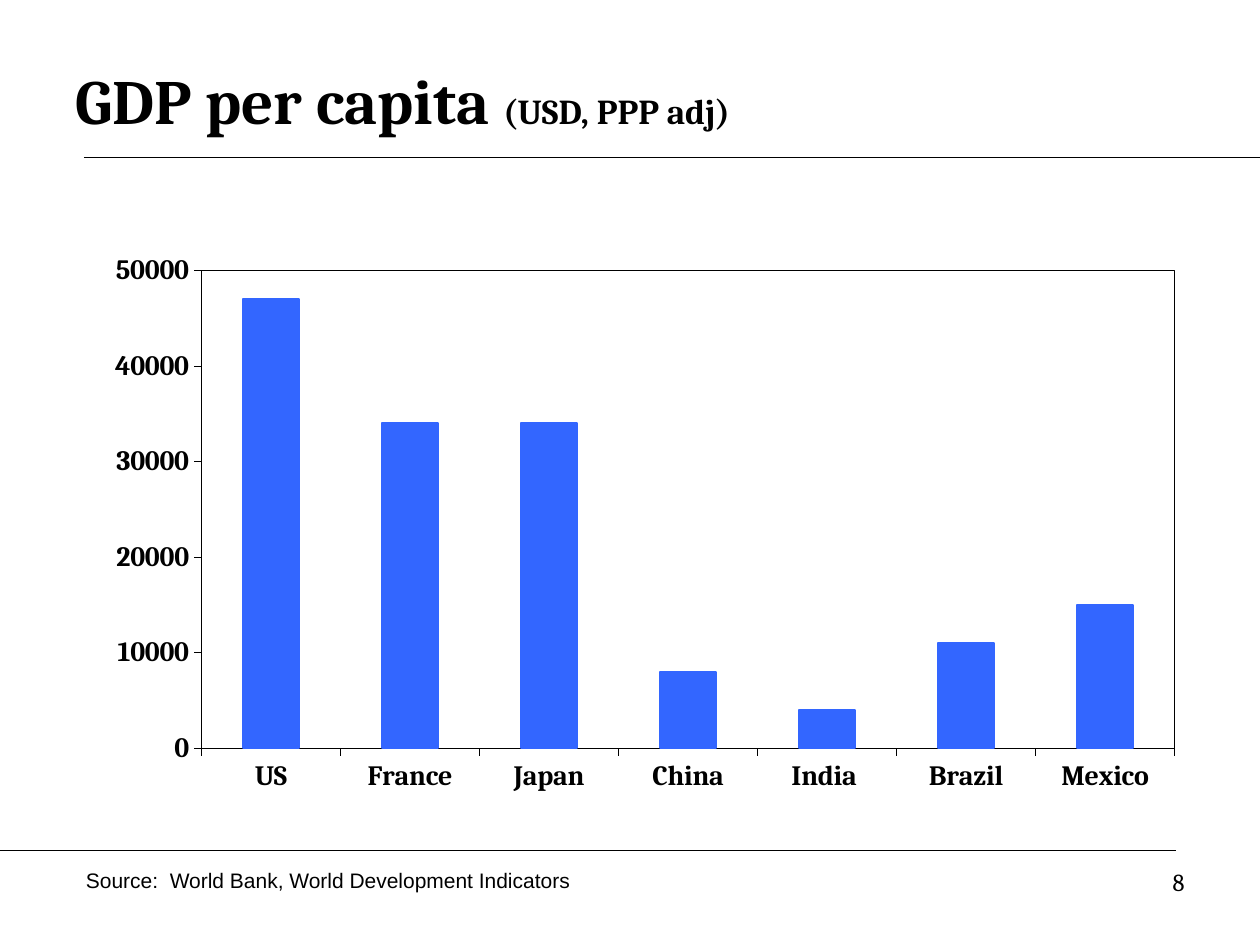
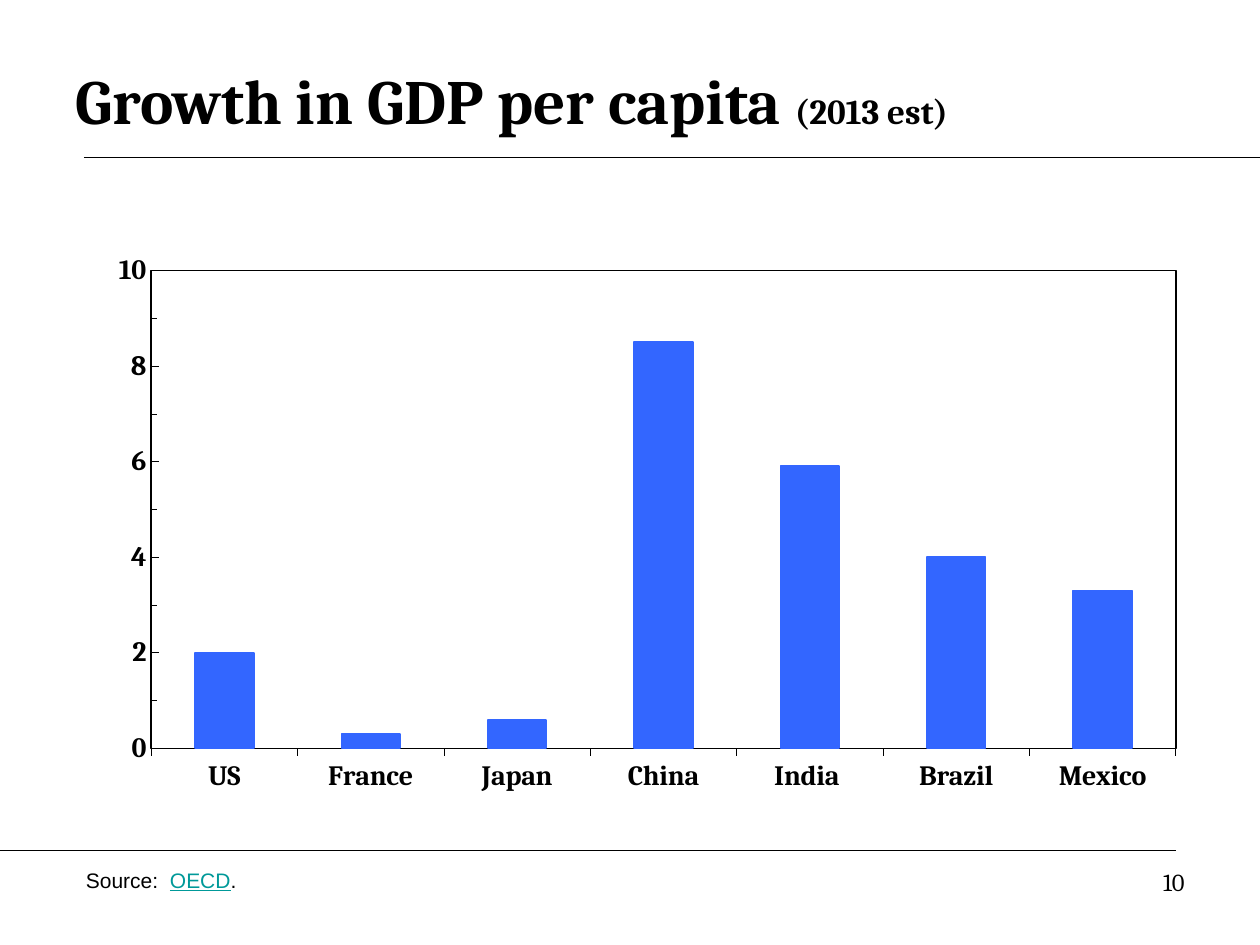
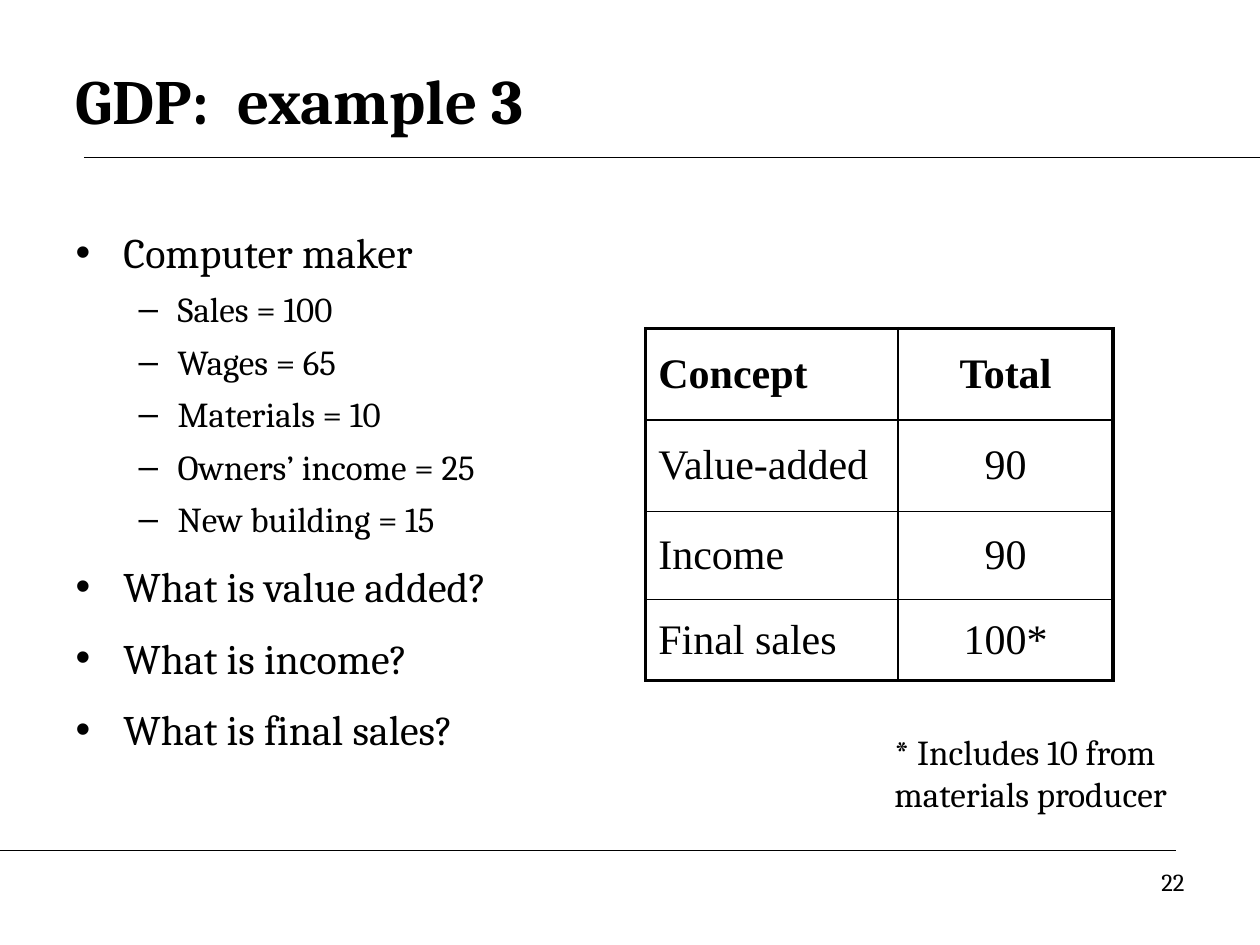
import pptx
import pptx.chart.data
import pptx.dml.color
import pptx.enum.chart
import pptx.enum.shapes
import pptx.enum.text
import pptx.oxml
import pptx.oxml.ns
import pptx.util
from lxml import etree

Pt = pptx.util.Pt
Inches = pptx.util.Inches
ALIGN = pptx.enum.text.PP_ALIGN
ANCHOR = pptx.enum.text.MSO_ANCHOR
TICK = pptx.enum.chart.XL_TICK_MARK

COLORS = {"ink": "000000", "paper": "FFFFFF", "bar": "3366FF", "link": "009999"}
SERIF, SANS, TABLE_FONT = "Cambria", "Arial", "Times New Roman"
COLS, ROWS = 120, 90
WIDTH, HEIGHT = Inches(10), Inches(7.5)

# Boxes are (column, row, columns wide, rows high)
TITLE = (6, 4, 108, 11)
CHART = (6.75, 21.75, 106.3, 58)
BODY = (6, 21, 51, 59.4)
TABLE = (61.5, 31.3, 44.5, 33.5)
NOTE = (84, 69, 33, 9.25)
SOURCE = (7, 82, 58, 3.6)
PAGE = (86, 82, 28, 6.25)
RULES = [((8, 15), (COLS, 15)), ((0, 81), (112, 81))]

COUNTRIES = ["US", "France", "Japan", "China", "India ", "Brazil", "Mexico"]


def rgb(name):
    return pptx.dml.color.RGBColor.from_string(COLORS[name])


def col(n):
    return round(WIDTH * n / COLS)


def row(n):
    return round(HEIGHT * n / ROWS)


def emu(box):
    x, y, w, h = box
    return col(x), row(y), col(w), row(h)


def place(sp, box):
    sp.left, sp.top, sp.width, sp.height = emu(box)


def style(font, size, name=SERIF, color="ink", bold=False, underline=None):
    font.size, font.name, font.bold = Pt(size), name, bold
    font.color.rgb = rgb(color)
    if underline:
        font.underline = True


def add_text(p, text, size, align=ALIGN.LEFT, **fmt):
    p.alignment = align
    r = p.add_run()
    r.text = text
    style(r.font, size, **fmt)


def add_box(slide, box, runs, size, **fmt):
    """Text box of one paragraph; each run is (text, extra format)."""
    tf = slide.shapes.add_textbox(*emu(box)).text_frame
    tf.word_wrap = True
    for text, extra in runs:
        add_text(tf.paragraphs[0], text, size, **fmt, **extra)


def base_slide(prs, layout, title, page, subtitle=""):
    slide = prs.slides.add_slide(prs.slide_layouts[layout])
    slide.background.fill.solid()
    slide.background.fill.fore_color.rgb = rgb("paper")
    for start, end in RULES:
        line = slide.shapes.add_connector(
            pptx.enum.shapes.MSO_CONNECTOR.STRAIGHT,
            col(start[0]), row(start[1]), col(end[0]), row(end[1]))
        line.line.color.rgb = rgb("ink")
        line.line.width = Pt(0.75)
        etree.SubElement(line._element.spPr, pptx.oxml.ns.qn("a:effectLst"))
    sp = slide.shapes.title
    place(sp, TITLE)
    tf = sp.text_frame
    tf.vertical_anchor = ANCHOR.MIDDLE
    tf.auto_size = pptx.enum.text.MSO_AUTO_SIZE.NONE
    add_text(tf.paragraphs[0], title, 36, bold=True)
    if subtitle:
        add_text(tf.paragraphs[0], subtitle, 20, bold=True)
    add_box(slide, PAGE, [(page, {})], 14, align=ALIGN.RIGHT)
    return slide


def frame_plot(chart, layout):
    """Fix the inner plot area (shares of the chart) and outline it."""
    ns = " ".join(pptx.oxml.ns.nsdecls(p) for p in ("c", "a"))
    area = chart._chartSpace.chart.plotArea
    for old in area.findall(pptx.oxml.ns.qn("c:layout")):
        area.remove(old)
    places = "".join(f'<c:{k} val="{v}"/>' for k, v in zip("xywh", layout))
    area.insert(0, pptx.oxml.parse_xml(
        f'<c:layout {ns}><c:manualLayout><c:layoutTarget val="inner"/>'
        f'<c:xMode val="edge"/><c:yMode val="edge"/>{places}'
        '</c:manualLayout></c:layout>'))
    area.append(pptx.oxml.parse_xml(
        f'<c:spPr {ns}><a:noFill/><a:ln w="{Pt(1)}"><a:solidFill>'
        f'<a:srgbClr val="{COLORS["ink"]}"/></a:solidFill></a:ln></c:spPr>'))


def add_columns(slide, box, values, layout, top, step, number_format,
                tick, minor_tick):
    data = pptx.chart.data.CategoryChartData()
    data.categories = COUNTRIES
    data.add_series("Series 1", values)
    chart = slide.shapes.add_chart(
        pptx.enum.chart.XL_CHART_TYPE.COLUMN_CLUSTERED, *emu(box), data).chart
    chart.has_legend = chart.has_title = False
    style(chart.font, 18, name=SANS, bold=True)
    plot = chart.plots[0]
    plot.gap_width, plot.vary_by_categories = 150, False
    bars = plot.series[0].format
    bars.fill.solid()
    bars.fill.fore_color.rgb = bars.line.color.rgb = rgb("bar")
    bars.line.width = Pt(1)

    for axis in (chart.category_axis, chart.value_axis):
        axis.has_major_gridlines = False
        style(axis.tick_labels.font, 16, bold=True)
        axis.format.line.color.rgb = rgb("ink")
        axis.format.line.width = Pt(0.25)
        axis.major_tick_mark = TICK.OUTSIDE
    axis = chart.value_axis
    axis.minimum_scale, axis.maximum_scale, axis.major_unit = 0, top, step
    axis.minor_unit = step / 2
    axis.major_tick_mark, axis.minor_tick_mark = tick, minor_tick
    axis.tick_labels.number_format = number_format
    axis.tick_labels.number_format_is_linked = False
    frame_plot(chart, layout)


def chart_slide(prs, title, subtitle, page, source, **chart):
    slide = base_slide(prs, 5, title, page, subtitle)
    add_columns(slide, CHART, **chart)
    add_box(slide, SOURCE, source, 12, name=SANS)


def fill_body(sp, box, items):
    """Bulleted list; each item is (level, text)."""
    place(sp, box)
    tf = sp.text_frame
    tf.auto_size = pptx.enum.text.MSO_AUTO_SIZE.NONE
    levels = [(24, 12, 0.38, 0.38), (20, 6, 0.81, 0.31)]
    for i, (level, text) in enumerate(items):
        p = tf.add_paragraph() if i else tf.paragraphs[0]
        size, before, left, hang = levels[level]
        p.level = level
        p.space_before = Pt(before if i else 0)
        pPr = p._p.get_or_add_pPr()
        pPr.set("marL", str(Inches(left)))
        pPr.set("indent", str(-Inches(hang)))
        add_text(p, text, size)


def set_borders(cell, widths):
    """Borders in points, in the order left, right, top, bottom."""
    tcPr = cell._tc.get_or_add_tcPr()
    for i, (side, width) in enumerate(zip("LRTB", widths)):
        tcPr.insert(i, pptx.oxml.parse_xml(
            f'<a:ln{side} {pptx.oxml.ns.nsdecls("a")} w="{Pt(width)}">'
            f'<a:solidFill><a:srgbClr val="{COLORS["ink"]}"/></a:solidFill>'
            f'</a:ln{side}>'))


def add_grid(slide, box, rows, col_shares, row_shares):
    n_rows, n_cols = len(rows), len(rows[0])
    frame = slide.shapes.add_table(n_rows, n_cols, *emu(box))
    table = frame.table
    table.first_row = table.horz_banding = False
    for c, share in enumerate(col_shares):
        table.columns[c].width = col(box[2] * share)
    for r, share in enumerate(row_shares):
        table.rows[r].height = row(box[3] * share)
    for r, texts in enumerate(rows):
        for c, text in enumerate(texts):
            cell = table.cell(r, c)
            cell.vertical_anchor = ANCHOR.MIDDLE
            cell.fill.background()
            outer = (c == 0, c == n_cols - 1, r == 0, r == n_rows - 1)
            set_borders(cell, [2.25 if edge else 1 for edge in outer])
            add_text(cell.text_frame.paragraphs[0], text, 24,
                     align=ALIGN.CENTER if c else ALIGN.LEFT,
                     name=TABLE_FONT, bold=r == 0)


def example_slide(prs, title, page, items, rows, note):
    slide = base_slide(prs, 1, title, page)
    fill_body(slide.placeholders[1], BODY, items)
    add_grid(slide, TABLE, rows, (0.54, 0.46), (0.26, 0.26, 0.25, 0.23))
    add_box(slide, NOTE, [(note, {})], 20)


def main():
    prs = pptx.Presentation()
    prs.slide_width, prs.slide_height = WIDTH, HEIGHT
    chart_slide(
        prs, "GDP per capita ", "(USD, PPP adj)", "8",
        [("Source:  World Bank, World Development Indicators", {})],
        values=[47000, 34000, 34000, 8000, 4000, 11000, 15000],
        layout=(0.117, 0.069, 0.872, 0.785), top=50000, step=10000,
        number_format="General", tick=TICK.OUTSIDE, minor_tick=TICK.NONE)
    chart_slide(
        prs, "Growth in GDP per capita ", "(2013 est)", "10",
        [("Source:  ", {}), ("OECD", {"color": "link", "underline": True}),
         (".", {})],
        values=[2, 0.3, 0.6, 8.5, 5.9, 4, 3.3],
        layout=(0.072, 0.069, 0.918, 0.785), top=10, step=2,
        number_format="0", tick=TICK.INSIDE, minor_tick=TICK.INSIDE)
    example_slide(
        prs, "GDP:  example 3", "22",
        [(0, "Computer maker"), (1, "Sales = 100"), (1, "Wages = 65"),
         (1, "Materials = 10"), (1, "Owners’ income = 25"),
         (1, "New building = 15"), (0, "What is value added?"),
         (0, "What is income?"), (0, "What is final sales?")],
        [("Concept", "Total"), ("Value-added", "90"), ("Income", "90"),
         ("Final sales", "100*")],
        "* Includes 10 from materials producer")
    prs.save("out.pptx")


if __name__ == "__main__":
    main()
